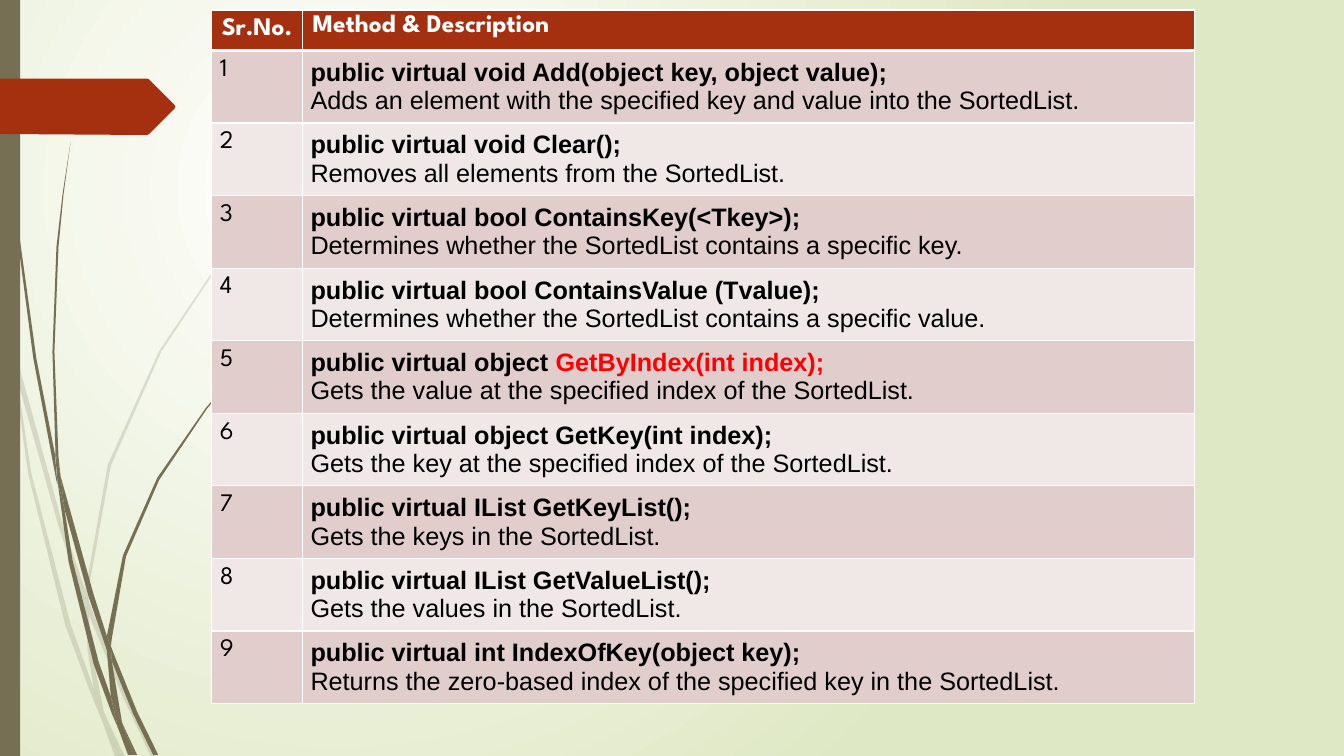
from lxml import etree
from pptx import Presentation
from pptx.dml.color import RGBColor
from pptx.enum.shapes import MSO_SHAPE
from pptx.enum.text import PP_ALIGN
from pptx.oxml.ns import qn
from pptx.util import Inches, Pt

RECTANGLE = MSO_SHAPE.RECTANGLE
LEFT, CENTER, JUSTIFY = PP_ALIGN.LEFT, PP_ALIGN.CENTER, PP_ALIGN.JUSTIFY

THEME = {
    "glow": "FFFFFF", "meadow": "DFE8C4", "stem": "766F54", "rust": "A53010",
    "odd": "E1CDCC", "even": "F0E8E7", "ink": "000000", "alert": "FF0000",
    "rule": "FFFFFF", "heading": "FFFFFF",
    "display": "League Spartan", "body": "Arial",
    "size": 18, "thin": 1, "thick": 3,
}

HEADINGS = ("Sr.No.", "Method & Description")
METHODS = [
    ("public virtual void Add(object key, object value);", "",
     "Adds an element with the specified key and value into the SortedList."),
    ("public virtual void Clear();", "",
     "Removes all elements from the SortedList."),
    ("public virtual bool ContainsKey(<Tkey>);", "",
     "Determines whether the SortedList contains a specific key."),
    ("public virtual bool ContainsValue (Tvalue);", "",
     "Determines whether the SortedList contains a specific value."),
    ("public virtual object ", "GetByIndex(int index);",
     "Gets the value at the specified index of the SortedList."),
    ("public virtual object GetKey(int index);", "",
     "Gets the key at the specified index of the SortedList."),
    ("public virtual IList GetKeyList();", "",
     "Gets the keys in the SortedList."),
    ("public virtual IList GetValueList();", "",
     "Gets the values in the SortedList."),
    ("public virtual int IndexOfKey(object key);", "",
     "Returns the zero-based index of the specified key in the SortedList."),
]

PALE_BLADES = [
    [(0.11, 3.5), (0.09, 3.22), (0, 2.82), (0, 2.99), (0.1, 3.44)],
    [(0.58, 5.22), (0.84, 5.99), (0.85, 5.86), (0.62, 5.2), (0.14, 3.45), (0.17, 3.76)],
    [(0.92, 6.07), (0.88, 5.96), (0.88, 6.1), (1.23, 6.94), (1.5, 7.51), (1.55, 7.51),
     (1.27, 6.92)],
    [(1.19, 7.51), (1.24, 7.51), (1.05, 7.11)],
    [(0.93, 6.83), (0.7, 6.19), (0.31, 4.69), (0.17, 3.76), (0.11, 3.5), (0.28, 4.7),
     (0.65, 6.21), (0.92, 6.93), (1.01, 7.14), (0.99, 7.07)],
    [(0.84, 5.99), (0.87, 6.46), (0.93, 6.83), (0.96, 6.92), (1.05, 7.11), (1.03, 7.06),
     (0.91, 6.46), (0.88, 6.1), (0.88, 6.08)],
    [(0.88, 5.84), (1.1, 4.62), (1.6, 3.49), (2.29, 2.45), (2.68, 1.98), (2.9, 1.75),
     (3.12, 1.54), (3.12, 1.53), (2.89, 1.75), (2.68, 1.97), (2.28, 2.44), (1.58, 3.48),
     (1.07, 4.61), (0.85, 5.84), (0.85, 5.86), (0.88, 5.96)],
    [(1.01, 7.14), (1.14, 7.51), (1.19, 7.51)],
    [(0.88, 6.08), (0.88, 6.1), (0.88, 5.96), (0.85, 5.86), (0.84, 5.99)],
    [(0.96, 6.92), (0.93, 6.83), (0.99, 7.07), (1.01, 7.14), (1.19, 7.51), (1.05, 7.11)],
]
DARK_BLADES = [
    [(0.07, 1.1), (0.17, 2.33), (0.33, 3.55), (0.56, 4.77), (0.57, 4.81), (0.55, 4.57),
     (0.55, 4.53), (0.36, 3.55), (0.19, 2.32), (0.08, 1.09), (0.05, 0.48), (0.04, 0),
     (0.03, 0), (0.04, 0.48)],
    [(0.88, 5.92), (1.06, 6.45), (1.06, 6.31), (0.93, 5.9), (0.6, 4.72), (0.64, 5.05)],
    [(1.13, 6.49), (1.1, 6.41), (1.11, 6.56), (1.32, 7.08), (1.52, 7.49), (1.57, 7.49),
     (1.36, 7.06)],
    [(1.1, 6.91), (0.98, 6.57), (0.72, 5.56), (0.64, 5.05), (0.57, 4.77), (0.68, 5.57),
     (0.93, 6.59), (1.11, 7.08), (1.17, 7.22), (1.16, 7.17)],
    [(0.6, 4.72), (0.58, 4.53), (0.54, 3.49), (0.58, 2.45), (0.63, 1.93), (0.7, 1.41),
     (0.62, 1.93), (0.56, 2.45), (0.52, 3.49), (0.55, 4.49)],
    [(1.33, 7.49), (1.36, 7.49), (1.22, 7.19)],
    [(0.57, 4.77), (0.64, 5.05), (0.6, 4.72), (0.55, 4.49), (0.55, 4.53)],
    [(1.11, 6.33), (1.25, 5.52), (1.58, 4.76), (2.05, 4.06), (2.31, 3.74), (2.45, 3.59),
     (2.61, 3.44), (2.45, 3.58), (2.31, 3.73), (2.04, 4.05), (1.56, 4.74), (1.22, 5.51),
     (1.06, 6.31), (1.1, 6.41)],
    [(1.17, 7.22), (1.27, 7.49), (1.31, 7.49)],
    [(1.06, 6.45), (1.1, 6.91), (1.16, 7.06), (1.22, 7.19), (1.21, 7.16), (1.11, 6.56),
     (1.09, 6.51)],
    [(1.06, 6.45), (1.09, 6.51), (1.11, 6.56), (1.1, 6.41), (1.06, 6.31)],
    [(1.16, 7.06), (1.1, 6.91), (1.16, 7.17), (1.17, 7.22), (1.3, 7.49), (1.33, 7.49),
     (1.22, 7.19)],
]
TAG = [(0, 0.78), (1.46, 0.78), (1.48, 0.79), (1.73, 1.04), (1.74, 1.06), (1.73, 1.08),
       (1.48, 1.33), (1.46, 1.34), (0, 1.33)]


def colour(name):
    return RGBColor.from_string(THEME[name])


def paint(shape, name, opacity=100):
    shape.shadow.inherit = False
    shape.fill.solid()
    shape.fill.fore_color.rgb = colour(name)
    shape.line.fill.background()
    if opacity < 100:
        tint = next(shape.element.spPr.iter(qn("a:srgbClr")))
        etree.SubElement(tint, qn("a:alpha"), val=str(opacity * 1000))


def draw_outline(page, knots, name, opacity=100):
    points = [(Inches(x), Inches(y)) for x, y in knots]
    builder = page.shapes.build_freeform(*points[0])
    builder.add_line_segments(points[1:], close=True)
    paint(builder.convert_to_shape(), name, opacity)


def draw_background(page):
    fill = page.background.fill
    fill.gradient()
    for stop, name in zip(fill.gradient_stops, ("glow", "meadow")):
        stop.color.rgb = colour(name)
    gradient = next(page.element.iter(qn("a:gradFill")))
    gradient.remove(gradient.find(qn("a:lin")))
    circle = etree.SubElement(gradient, qn("a:path"), path="circle")
    etree.SubElement(circle, qn("a:fillToRect"), l="50000", t="50000", r="100000", b="100000")


def style_cell(cell, fill, top="thin", bottom="thin", inset=(0.08, 0.08)):
    cell.margin_left = cell.margin_right = Inches(inset[0])
    cell.margin_top = cell.margin_bottom = Inches(inset[1])
    cell.fill.solid()
    cell.fill.fore_color.rgb = colour(fill)
    properties = cell._tc.get_or_add_tcPr()
    edges = (("L", "thin"), ("R", "thin"), ("T", top), ("B", bottom))
    for index, (edge, weight) in enumerate(edges):
        border = etree.Element(qn("a:ln" + edge), w=str(Pt(THEME[weight])))
        solid = etree.SubElement(border, qn("a:solidFill"))
        etree.SubElement(solid, qn("a:srgbClr"), val=THEME["rule"])
        properties.insert(index, border)


def write(para, pieces, font, bold, align=LEFT):
    para.alignment = align
    for text, name in pieces:
        span = para.add_run()
        span.text = text
        span.font.name = THEME[font]
        span.font.size = Pt(THEME["size"])
        span.font.bold = bold
        span.font.color.rgb = colour(name)


def draw_table(page):
    count = len(METHODS) + 1
    frame = page.shapes.add_table(count, 2, Inches(2.1), Inches(0.1), Inches(9.75), Inches(6.89))
    table = frame.table
    for column, width in zip(table.columns, (0.9, 8.85)):
        column.width = Inches(width)
    for index, row in enumerate(table.rows):
        row.height = Inches(0.72 if index else 0.4)

    insets = ((0.08, 0.08), (0.1, 0.05))
    for cell, text, align, inset in zip(table.rows[0].cells, HEADINGS, (CENTER, LEFT), insets):
        style_cell(cell, "rust", bottom="thick", inset=inset)
        write(cell.text_frame.paragraphs[0], [(text, "heading")], "display", True, align)

    for number, (signature, marked, summary) in enumerate(METHODS, 1):
        label, method = table.rows[number].cells
        for cell in (label, method):
            style_cell(cell, "odd" if number % 2 else "even", top="thick" if number == 1 else "thin")
        write(label.text_frame.paragraphs[0], [(str(number), "ink")], "display", False)
        pieces = [(signature, "ink")] + ([(marked, "alert")] if marked else [])
        write(method.text_frame.paragraphs[0], pieces, "body", True, JUSTIFY)
        write(method.text_frame.add_paragraph(), [(summary, "ink")], "body", False, JUSTIFY)


def main():
    deck = Presentation()
    deck.slide_width, deck.slide_height = Inches(13.33), Inches(7.5)
    page = deck.slides.add_slide(deck.slide_layouts[6])
    draw_background(page)
    for blades, opacity in ((PALE_BLADES, 20), (DARK_BLADES, 100)):
        for knots in blades:
            draw_outline(page, knots, "stem", opacity)
    paint(page.shapes.add_shape(RECTANGLE, 0, 0, Inches(0.2), Inches(7.5)), "stem")
    draw_outline(page, TAG, "rust")
    draw_table(page)
    deck.save("out.pptx")


if __name__ == "__main__":
    main()
